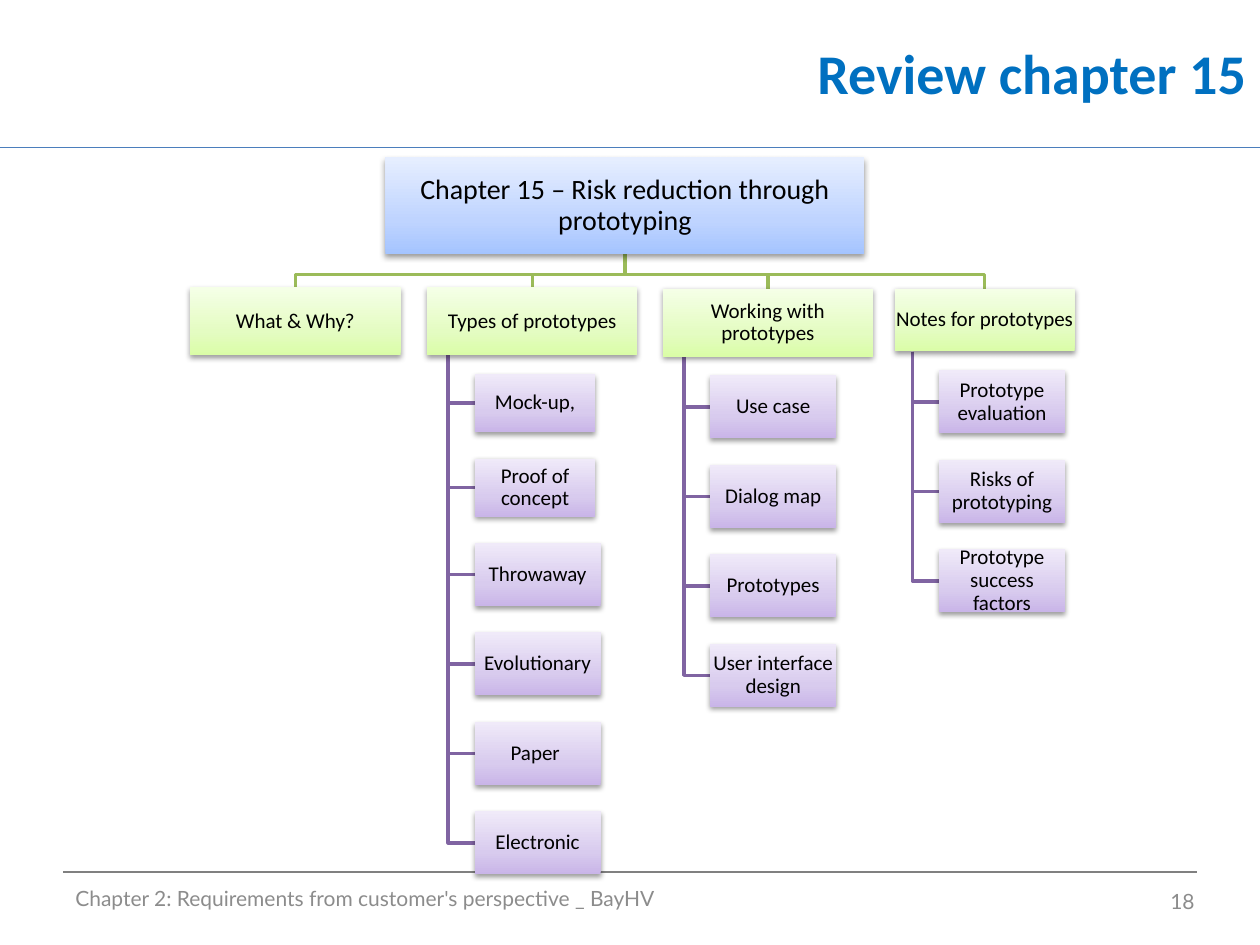
from copy import deepcopy
from pptx import Presentation
from pptx.dml.color import RGBColor
from pptx.enum.shapes import MSO_CONNECTOR, MSO_SHAPE
from pptx.enum.text import MSO_ANCHOR, PP_ALIGN
from pptx.oxml import parse_xml
from pptx.oxml.ns import nsdecls, qn
from pptx.util import Inches, Pt

COLORS = {
    "title": "0070C0", "text": "000000", "footer": "8C8C8C",
    "header_rule": "4B7EBC", "footer_rule": "808080",
    "branch_link": "9BBB59", "leaf_link": "8064A2",
}
GRADIENTS = {
    "root": ["A4C4FF", "BFD4FF", "E6EEFF"],
    "branch": ["DAFDA7", "E4FCC2", "F5FFE7"],
    "leaf": ["C9B5E8", "D8CBEE", "F0EAF9"],
}
STOPS = [0, 0.35, 1]

RULES = [
    (0, 10, 1.17, "header_rule"),
    (0.5, 9.5, 6.92, "footer_rule"),
]
LABELS = [
    ("Review chapter 15", (2.9, 0, 7.09, 1.15),
     dict(size=32, color="title", bold=True, align=PP_ALIGN.RIGHT)),
    ("Chapter 2: Requirements from customer's perspective _ BayHV", (0.5, 6.93, 6.67, 0.4),
     dict(size=12, color="footer", font="Lato")),
    ("18", (7.25, 6.95, 2.33, 0.4),
     dict(size=12, color="footer", font="Lato", align=PP_ALIGN.RIGHT)),
]

ROOT = ("Chapter 15 – Risk reduction through prototyping", (3.06, 1.25, 3.8, 0.77))
SMALL, LARGE = (0.96, 0.46), (1, 0.5)
BRANCHES = [
    ("What & Why?", (1.51, 2.28, 1.67, 0.54), []),
    ("Types of prototypes", (3.39, 2.28, 1.67, 0.54), [
        ("Mock-up,", SMALL), ("Proof of concept", SMALL), ("Throwaway", LARGE),
        ("Evolutionary", LARGE), ("Paper ", LARGE), ("Electronic", LARGE)]),
    ("Working with prototypes", (5.26, 2.29, 1.67, 0.54), [
        ("Use case", LARGE), ("Dialog map", LARGE), ("Prototypes", LARGE),
        ("User interface design", LARGE)]),
    ("Notes for prototypes", (7.1, 2.29, 1.43, 0.5), [
        ("Prototype evaluation", LARGE), ("Risks of prototyping", LARGE),
        ("Prototype success factors", LARGE)]),
]
BUS_Y = 2.18
STEM_SHARE = 0.1
LEAF_INDENT = 0.21
FIRST_DROP = 0.15
LEAF_GAP = 0.21

SHADOW = (
    f'<a:effectLst {nsdecls("a")}>'
    '<a:outerShdw blurRad="40000" dist="20000" dir="5400000" rotWithShape="0">'
    '<a:srgbClr val="000000"><a:alpha val="38000"/></a:srgbClr>'
    '</a:outerShdw></a:effectLst>'
)


def rgb(name):
    return RGBColor.from_string(COLORS[name])


def write(sp, text, size=12, color="text", font="Calibri", bold=False,
          align=PP_ALIGN.LEFT, inset=None, spacing=None):
    tf = sp.text_frame
    tf.word_wrap = True
    tf.vertical_anchor = MSO_ANCHOR.MIDDLE
    if inset is not None:
        tf.margin_left = tf.margin_right = tf.margin_top = tf.margin_bottom = Inches(inset)
    p = tf.paragraphs[0]
    p.alignment = align
    if spacing:
        p.line_spacing = spacing
    r = p.add_run()
    r.text = text
    r.font.name, r.font.size, r.font.bold = font, Pt(size), bold
    r.font.color.rgb = rgb(color)


def add_rule(s, left, right, y, color):
    line = s.shapes.add_connector(
        MSO_CONNECTOR.STRAIGHT, Inches(left), Inches(y), Inches(right), Inches(y))
    line.line.color.rgb = rgb(color)
    line.line.width = Pt(0.75)
    line._element.spPr.append(parse_xml(f'<a:effectLst {nsdecls("a")}/>'))


def add_link(s, points, color):
    start, *rest = [(Inches(x), Inches(y)) for x, y in points]
    builder = s.shapes.build_freeform(*start)
    builder.add_line_segments(rest, close=False)
    sp = builder.convert_to_shape()
    sp.shadow.inherit = False
    sp.fill.background()
    sp.line.color.rgb = rgb(color)
    sp.line.width = Pt(2)


def add_node(s, text, box, level, size=12):
    sp = s.shapes.add_shape(MSO_SHAPE.RECTANGLE, *map(Inches, box))
    sp.fill.gradient()
    sp.fill.gradient_angle = 90
    spPr = sp._element.spPr
    stop_list = spPr.find(qn("a:gradFill")).find(qn("a:gsLst"))
    stop_list.append(deepcopy(stop_list[-1]))
    for stop, position, color in zip(sp.fill.gradient_stops, STOPS, GRADIENTS[level]):
        stop.position = position
        stop.color.rgb = RGBColor.from_string(color)
    sp.line.fill.background()
    spPr.append(parse_xml(SHADOW))
    write(sp, text, size=size, align=PP_ALIGN.CENTER, inset=0.01, spacing=0.9)


def main():
    prs = Presentation()
    prs.slide_width, prs.slide_height = Inches(10), Inches(7.5)
    s = prs.slides.add_slide(prs.slide_layouts[6])

    for rule in RULES:
        add_rule(s, *rule)
    for text, box, style in LABELS:
        write(s.shapes.add_textbox(*map(Inches, box)), text, **style)

    root_text, root_box = ROOT
    root_x = root_box[0] + root_box[2] / 2
    root_bottom = root_box[1] + root_box[3]
    nodes = [(root_text, root_box, "root", 16)]
    for text, box, leaves in BRANCHES:
        left, top, width, height = box
        center, bottom = left + width / 2, top + height
        add_link(s, [(root_x, root_bottom), (root_x, BUS_Y), (center, BUS_Y), (center, top)],
                 "branch_link")
        nodes.append((text, box, "branch"))
        stem = left + STEM_SHARE * width
        leaf_left, leaf_top = stem + LEAF_INDENT, bottom + FIRST_DROP
        for leaf, (leaf_width, leaf_height) in leaves:
            middle = leaf_top + leaf_height / 2
            add_link(s, [(stem, bottom), (stem, middle), (leaf_left, middle)], "leaf_link")
            nodes.append((leaf, (leaf_left, leaf_top, leaf_width, leaf_height), "leaf"))
            leaf_top += leaf_height + LEAF_GAP
    for node in nodes:
        add_node(s, *node)

    prs.save("out.pptx")


if __name__ == "__main__":
    main()
